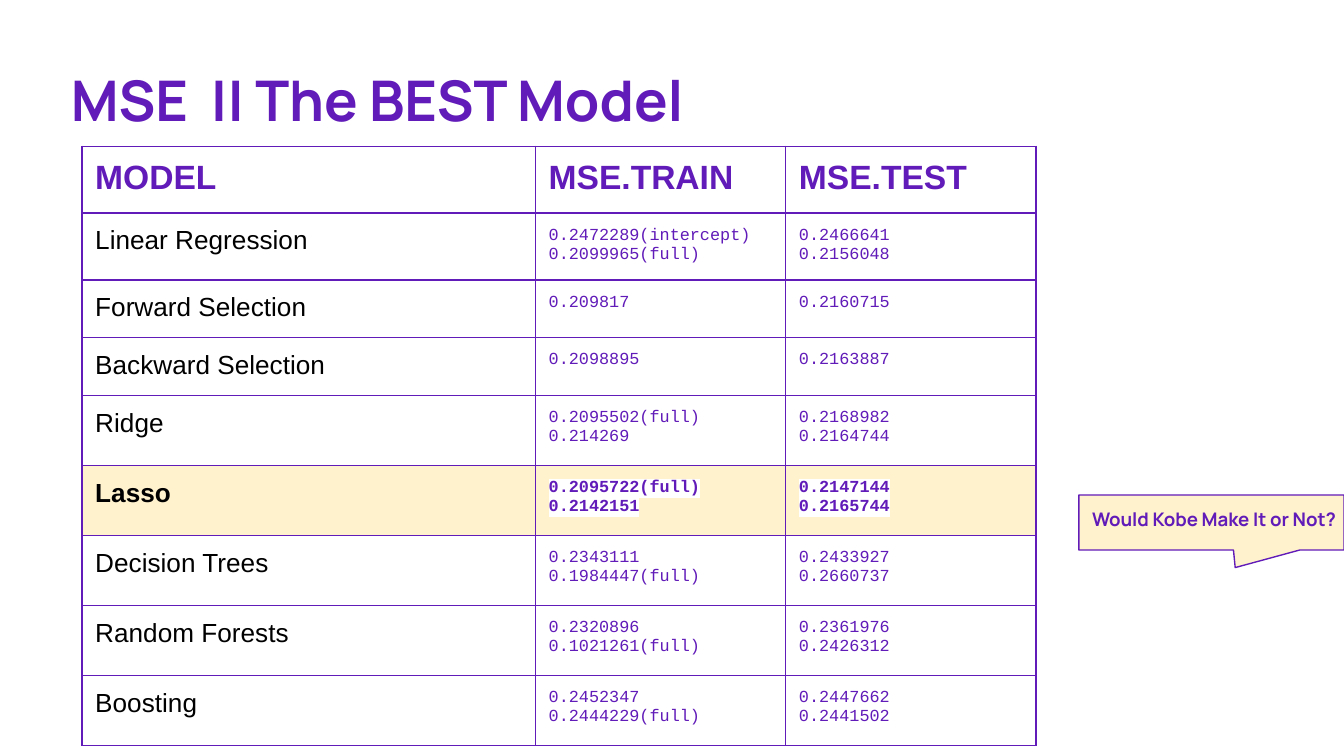
from dataclasses import dataclass

import pptx
import pptx.dml.color
import pptx.enum.shapes
import pptx.enum.text
import pptx.oxml
import pptx.oxml.ns
import pptx.util
from pptx.util import Cm


@dataclass(frozen=True)
class Theme:
    purple: str = "611BB8"
    cream: str = "FFF2CC"
    white: str = "FFFFFF"
    black: str = "000000"
    display_font: str = "Manrope"
    body_font: str = "Arial"
    value_font: str = "Courier New"
    title_size: int = 30
    header_size: int = 18
    model_size: int = 14
    value_size: int = 9
    callout_size: int = 10
    line_width: float = 0.75


THEME = Theme()
INSET = Cm(0.25)
HEADERS = ["MODEL", "MSE.TRAIN", "MSE.TEST"]
BEST_MODEL = "Lasso"
RESULTS = [
    ("Linear Regression", ["0.2472289(intercept)", "0.2099965(full)"], ["0.2466641", "0.2156048"]),
    ("Forward Selection", ["0.209817"], ["0.2160715"]),
    ("Backward Selection", ["0.2098895"], ["0.2163887"]),
    ("Ridge", ["0.2095502(full)", "0.214269"], ["0.2168982", "0.2164744"]),
    (BEST_MODEL, ["0.2095722(full)", "0.2142151"], ["0.2147144", "0.2165744"]),
    ("Decision Trees", ["0.2343111", "0.1984447(full)"], ["0.2433927", "0.2660737"]),
    ("Random Forests", ["0.2320896", "0.1021261(full)"], ["0.2361976", "0.2426312"]),
    ("Boosting", ["0.2452347", "0.2444229(full)"], ["0.2447662", "0.2441502"]),
]
COLUMN_WIDTHS = [Cm(8.57), Cm(4.73), Cm(4.73)]
ROW_HEIGHTS = [Cm(1.04)] + [Cm(0.89)] * 3 + [Cm(1.32)] * 5


def rgb(value):
    return pptx.dml.color.RGBColor.from_string(value)


def apply(target, settings):
    for name, value in settings.items():
        setattr(target, name, value)


def set_insets(target):
    apply(target, dict.fromkeys(
        ["margin_left", "margin_top", "margin_right", "margin_bottom"], INSET))


def write_lines(frame, lines, font, size, color, bold=False, highlight=None):
    """Write each line as its own left-aligned paragraph."""
    for index, line in enumerate(lines):
        paragraph = frame.add_paragraph() if index else frame.paragraphs[0]
        paragraph.alignment = pptx.enum.text.PP_ALIGN.LEFT
        run = paragraph.add_run()
        run.text = line
        apply(run.font, {"name": font, "size": pptx.util.Pt(size), "bold": bold})
        run.font.color.rgb = rgb(color)
        if highlight:
            fill = run.font._element.find(pptx.oxml.ns.qn("a:solidFill"))
            fill.addnext(pptx.oxml.parse_xml(
                f'<a:highlight {pptx.oxml.ns.nsdecls("a")}>'
                f'<a:srgbClr val="{highlight}"/></a:highlight>'))


def add_borders(cell):
    properties = cell._tc.get_or_add_tcPr()
    width = pptx.util.Pt(THEME.line_width)
    for side in ("lnL", "lnR", "lnT", "lnB"):
        properties.append(pptx.oxml.parse_xml(
            f'<a:{side} {pptx.oxml.ns.nsdecls("a")} w="{width}">'
            f'<a:solidFill><a:srgbClr val="{THEME.purple}"/></a:solidFill></a:{side}>'))


def style_cell(cell, highlighted):
    set_insets(cell)
    add_borders(cell)
    if highlighted:
        cell.fill.solid()
        cell.fill.fore_color.rgb = rgb(THEME.cream)
    else:
        cell.fill.background()


def add_title(slide, title):
    box = slide.shapes.add_textbox(Cm(1.09), Cm(0.98), Cm(23.67), Cm(1.73))
    frame = box.text_frame
    frame.word_wrap = True
    set_insets(frame)
    write_lines(frame, [title], THEME.display_font, THEME.title_size, THEME.purple, bold=True)


def add_results_table(slide):
    table = slide.shapes.add_table(
        len(RESULTS) + 1, len(HEADERS), Cm(1.55), Cm(2.76),
        sum(COLUMN_WIDTHS), sum(ROW_HEIGHTS)).table
    apply(table, {"first_row": False, "horz_banding": False})
    for column, width in zip(table.columns, COLUMN_WIDTHS):
        column.width = width
    for row, height in zip(table.rows, ROW_HEIGHTS):
        row.height = height

    for cell, header in zip(table.rows[0].cells, HEADERS):
        style_cell(cell, highlighted=False)
        write_lines(cell.text_frame, [header], THEME.body_font, THEME.header_size,
                    THEME.purple, bold=True)

    for row_index, (model, *errors) in enumerate(RESULTS, start=1):
        is_best = model == BEST_MODEL
        model_cell, *error_cells = table.rows[row_index].cells
        style_cell(model_cell, is_best)
        write_lines(model_cell.text_frame, [model], THEME.body_font, THEME.model_size,
                    THEME.black, bold=is_best)
        for cell, values in zip(error_cells, errors):
            style_cell(cell, is_best)
            write_lines(cell.text_frame, values, THEME.value_font, THEME.value_size,
                        THEME.purple, bold=is_best, highlight=THEME.white)


def add_callout(slide, question):
    callout = slide.shapes.add_shape(
        pptx.enum.shapes.MSO_SHAPE.ROUNDED_RECTANGULAR_CALLOUT,
        Cm(20.39), Cm(9.35), Cm(5.01), Cm(1.04))
    for index, value in enumerate([0.09, 0.82, 0]):
        callout.adjustments[index] = value
    callout.shadow.inherit = False
    callout.fill.solid()
    callout.fill.fore_color.rgb = rgb(THEME.cream)
    callout.line.color.rgb = rgb(THEME.purple)
    callout.line.width = pptx.util.Pt(THEME.line_width)
    frame = callout.text_frame
    set_insets(frame)
    apply(frame, {"margin_right": 0, "word_wrap": False,
                  "vertical_anchor": pptx.enum.text.MSO_ANCHOR.TOP})
    write_lines(frame, [question], THEME.display_font, THEME.callout_size,
                THEME.purple, bold=True)


def main():
    presentation = pptx.Presentation()
    apply(presentation, {"slide_width": Cm(25.4), "slide_height": Cm(14.28)})
    slide = presentation.slides.add_slide(presentation.slide_layouts[6])
    add_title(slide, "MSE  || The BEST Model")
    add_results_table(slide)
    add_callout(slide, "Would Kobe Make It or Not?")
    presentation.save("out.pptx")


if __name__ == "__main__":
    main()
